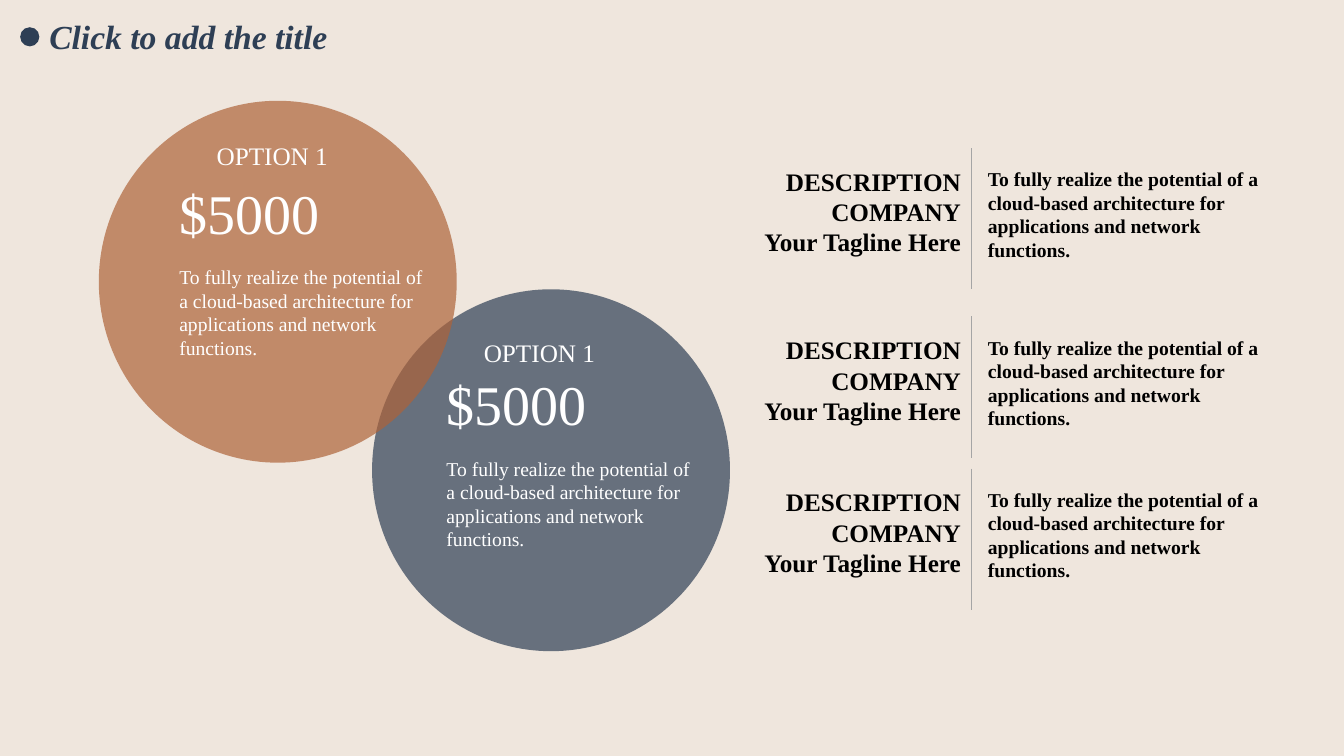
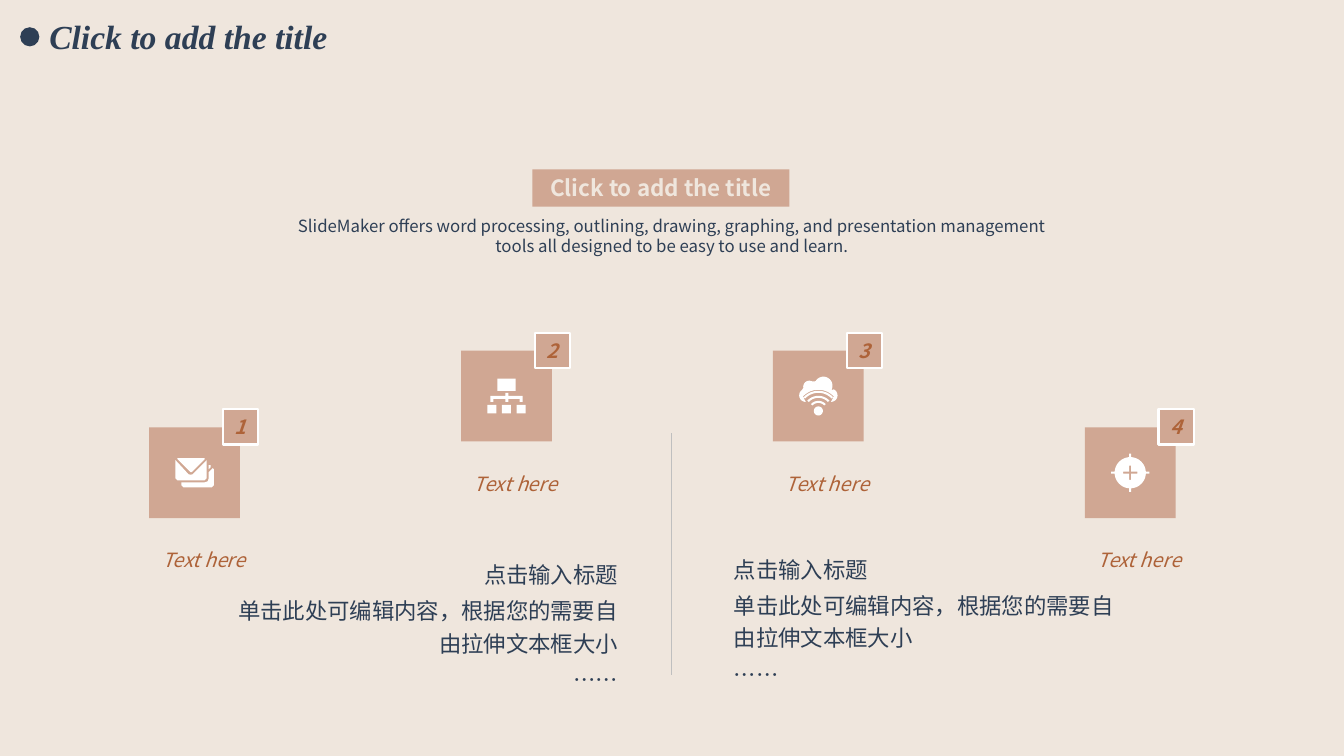
from dataclasses import dataclass
from math import cos, radians, sin

from lxml import etree
from pptx import Presentation
from pptx.dml.color import RGBColor
from pptx.enum.shapes import MSO_CONNECTOR, MSO_SHAPE
from pptx.enum.text import MSO_ANCHOR, PP_ALIGN
from pptx.oxml.ns import qn
from pptx.util import Inches, Pt

LEFT, CENTER, RIGHT = PP_ALIGN.LEFT, PP_ALIGN.CENTER, PP_ALIGN.RIGHT
TOP, MIDDLE = MSO_ANCHOR.TOP, MSO_ANCHOR.MIDDLE
OVAL, RECT = MSO_SHAPE.OVAL, MSO_SHAPE.RECTANGLE
STRAIGHT = MSO_CONNECTOR.STRAIGHT

COLORS = {
    "paper": "EFE6DD", "navy": "2E3F55", "copper": "AE6339", "blush": "D0A793",
    "white": "FFFFFF", "black": "000000", "rule": "A5A5A5", "divider": "BFBFBF",
}
SERIF, SANS = "Times New Roman", "Noto Sans CJK SC"
GRID = Inches(0.1)  # one column or row; the slide is 133.33 columns by 75 rows

TITLE = "Click to add the title"
PITCH = ("To fully realize the potential of a cloud-based architecture "
         "for applications and network functions.")
TAGLINE = ["DESCRIPTION", "COMPANY", "Your Tagline Here"]
INTRO = ("SlideMaker offers word processing, outlining, drawing, graphing, and presentation "
         "management tools all designed to be easy to use and learn.")
NOTES = ["点击输入标题", "单击此处可编辑内容，根据您的需要自由拉伸文本框大小", "……"]


@dataclass
class Box:
    """A region measured in grid columns and rows."""
    left: float
    top: float
    width: float
    height: float

    def inner(self, left, top, width, height):
        return Box(self.left + left, self.top + top, width, height)

    def emu(self):
        return [round(side * GRID) for side in (self.left, self.top, self.width, self.height)]


@dataclass
class Style:
    size: float
    color: str
    font: str = SERIF
    bold: bool = False
    italic: bool = False
    align: int = LEFT
    spacing: float = 1.0
    gap: float = 0


def rgb(name):
    return RGBColor.from_string(COLORS[name])


# Basic elements
def write(frame, lines, style):
    for index, line in enumerate(lines):
        para = frame.paragraphs[0] if index == 0 else frame.add_paragraph()
        para.text = line
        para.alignment = style.align
        para.line_spacing = style.spacing
        if index and style.gap:
            para.space_before = Pt(style.gap)
        font = para.font
        font.size, font.bold, font.italic = Pt(style.size), style.bold, style.italic
        font.color.rgb = rgb(style.color)
        font.name = style.font
        defaults = para._p.pPr.find(qn("a:defRPr"))
        etree.SubElement(defaults, qn("a:ea"), typeface=style.font)


def clear_margins(frame):
    frame.margin_left = frame.margin_right = frame.margin_top = frame.margin_bottom = 0


def add_text(page, box, lines, style, wrap=True, anchor=TOP, padded=True):
    frame = page.shapes.add_textbox(*box.emu()).text_frame
    frame.word_wrap = wrap
    frame.vertical_anchor = anchor
    if not padded:
        clear_margins(frame)
    write(frame, lines, style)


def paint(shape, fill, opacity=100, outline=None):
    shape.shadow.inherit = False
    shape.fill.solid()
    shape.fill.fore_color.rgb = rgb(fill)
    if opacity < 100:
        color = shape._element.spPr.find(qn("a:solidFill")).find(qn("a:srgbClr"))
        etree.SubElement(color, qn("a:alpha"), val=str(opacity * 1000))
    if outline:
        shape.line.color.rgb = rgb(outline)
        shape.line.width = Pt(1.5)
    else:
        shape.line.fill.background()


def add_shape(page, kind, box, fill, **look):
    shape = page.shapes.add_shape(kind, *box.emu())
    paint(shape, fill, **look)
    return shape


def add_label_shape(page, box, line, style, **look):
    frame = add_shape(page, RECT, box, "blush", **look).text_frame
    clear_margins(frame)
    frame.word_wrap = False
    frame.vertical_anchor = MIDDLE
    write(frame, [line], style)


def add_rule(page, left, top, height, color, width):
    x, y, _, drop = Box(left, top, 0, height).emu()
    rule = page.shapes.add_connector(STRAIGHT, x, y, x, y + drop)
    rule.line.color.rgb = rgb(color)
    rule.line.width = Pt(width)
    etree.SubElement(rule._element.spPr, qn("a:effectLst"))


# Icon outlines, in hundredths of an inch
def block(left, top, width, height):
    right, bottom = left + width, top + height
    return [(left, top), (right, top), (right, bottom), (left, bottom)]


def arc(x, y, radius, start, end, steps=24):
    angles = [radians(start + (end - start) * step / steps) for step in range(steps + 1)]
    return [(x + radius * cos(angle), y + radius * sin(angle)) for angle in angles]


def mail_icon():
    return [
        [(37, 10), (38, 11), (38, 27), (36, 29), (8, 29), (6, 27), (6, 24),
         (29, 24), (32, 23), (33, 20), (33, 14)],
        [(33, 7), (35, 7), (35, 9), (33, 11)],
        [(0, 2), (13, 16), (15, 16.5), (17, 16), (30, 3), (31, 2), (31, 20),
         (29, 22), (2, 22), (0, 20)],
        [(2, 0), (29, 0), (29, 1), (16, 14), (15, 14), (2, 1)],
    ]


def tree_icon():
    branches = [(18, 14), (21, 14), (21, 17), (35, 17), (35, 23), (32, 23), (32, 20),
                (21, 20), (21, 23), (18, 23), (18, 20), (6, 20), (6, 23), (3, 23),
                (3, 17), (18, 17)]
    leaves = [block(left, 26, 9, 8.5) for left in (0, 14.5, 29)]
    return [block(10, 0, 18, 12), branches, *leaves]


def cloud_icon():
    cloud = (arc(6.5, 18.5, 6.5, 90, 235) + arc(10, 10, 6, 170, 300)
             + arc(24, 9, 9, 210, 390) + arc(31.5, 18.5, 6.5, 295, 450)
             + arc(19, 34, 21, 317, 223))
    waves = [arc(19, 34, outer, 223, 317) + arc(19, 34, outer - 2, 317, 223)
             for outer in (20, 15, 10)]
    return [cloud, *waves, arc(19, 34, 4.5, 0, 360)]


def target_icon():
    ticks = [block(18, 0, 2, 3.5), block(18, 34.5, 2, 3.5),
             block(0, 18, 3.5, 2), block(34.5, 18, 3.5, 2)]
    plus = [(18, 12), (20, 12), (20, 18), (26, 18), (26, 20), (20, 20),
            (20, 26), (18, 26), (18, 20), (12, 20), (12, 18), (18, 18)]
    return [arc(19, 19, 15.5, 0, 360, 48), plus, *ticks]


def add_icon(page, box, outlines):
    """Centre the outlines in the box as one white freeform."""
    points = [[(round(x * GRID / 10), round(y * GRID / 10)) for x, y in outline]
              for outline in outlines]
    spans = [[point[axis] for outline in points for point in outline] for axis in (0, 1)]
    left, top, width, height = box.emu()
    origin_x = left + (width - min(spans[0]) - max(spans[0])) // 2
    origin_y = top + (height - min(spans[1]) - max(spans[1])) // 2
    builder = page.shapes.build_freeform(*points[0][0])
    for index, outline in enumerate(points):
        if index:
            builder.move_to(*outline[0])
        builder.add_line_segments(outline[1:], close=True)
    paint(builder.convert_to_shape(origin_x, origin_y), "white")


# Shared page frame
def add_page(deck):
    page = deck.slides.add_slide(deck.slide_layouts[6])
    page.background.fill.solid()
    page.background.fill.fore_color.rgb = rgb("paper")
    add_text(page, Box(3.9, 1.1, 31.5, 5), [TITLE],
             Style(24, "navy", bold=True, italic=True), wrap=False)
    add_shape(page, OVAL, Box(2, 2.7, 1.9, 1.9), "navy")
    return page


# Pricing slide
def add_option(page, box, label_top):
    """Label, price and pitch, stacked in the box."""
    add_text(page, box.inner(3.7, label_top, 13.2, 4), ["OPTION 1"],
             Style(18, "white"), wrap=False)
    add_text(page, box.inner(0, 3.8, 16, 7.7), ["$5000"], Style(40, "white"), wrap=False)
    add_text(page, box.inner(0, 12.4, 26.4, 10.4), [PITCH], Style(14, "white"))


def add_description(page, box):
    """Tagline and pitch on either side of a rule."""
    middle = 21.7
    add_text(page, box.inner(0, 1.3, middle, 10.1), TAGLINE,
             Style(18, "black", bold=True, align=RIGHT), wrap=False)
    add_rule(page, box.left + middle, box.top, box.height, "rule", 0.5)
    add_text(page, box.inner(middle + 0.7, 1.4, 29.3, 10.4), [PITCH],
             Style(14, "black", bold=True))


def pricing_slide(deck):
    page = add_page(deck)
    for left, top, fill in ((36.9, 28.7, "navy"), (9.8, 10, "copper")):
        add_shape(page, OVAL, Box(left, top, 35.5, 35.9), fill, opacity=70)
    add_option(page, Box(16.8, 13.4, 26.4, 22.8), 0)
    add_option(page, Box(43.3, 32.4, 26.4, 22.8), 0.6)
    for top in (14.7, 31.4, 46.5):
        add_description(page, Box(74.6, top, 51.7, 14))


# Steps slide
def add_step(page, box, number, outlines):
    """Icon tile with a numbered badge on its corner and a caption below."""
    add_shape(page, RECT, box, "blush")
    add_icon(page, box, outlines)
    add_label_shape(page, box.inner(7.3, -1.8, 3.5, 3.5), str(number),
                    Style(14, "copper", SANS, bold=True, italic=True, align=CENTER),
                    outline="white")
    add_text(page, box.inner(-7.5, 11, 25.8, 4.3), ["Text here"],
             Style(14, "copper", SANS, italic=True, align=CENTER), anchor=MIDDLE)


def add_heading(page, box):
    """Banner with the introduction below."""
    add_label_shape(page, box.inner(24.1, 0, 25.5, 3.7), TITLE,
                    Style(16, "paper", SANS, bold=True, align=CENTER))
    add_text(page, box.inner(0, 4.6, box.width, 4), [INTRO],
             Style(12, "navy", SANS, align=CENTER), padded=False)


def steps_slide(deck):
    page = add_page(deck)
    add_heading(page, Box(28.7, 16.8, 75.9, 8.6))
    icons = (mail_icon(), tree_icon(), cloud_icon(), target_icon())
    first, last = 14.8, 107.6
    pitch = (last - first) / (len(icons) - 1)
    for index, outlines in enumerate(icons):
        top = 34.8 if index in (1, 2) else 42.4
        add_step(page, Box(first + index * pitch, top, 9, 9), index + 1, outlines)
    add_rule(page, 66.6, 43, 24, "divider", 0.25)
    for left, top, align in ((22.9, 55.1, RIGHT), (72.8, 54.6, LEFT)):
        add_text(page, Box(left, top, 38.4, 14), NOTES,
                 Style(16, "navy", SANS, align=align, spacing=1.2, gap=3.2), padded=False)


def main():
    deck = Presentation()
    deck.slide_width, deck.slide_height = Inches(13.33), Inches(7.5)
    pricing_slide(deck)
    steps_slide(deck)
    deck.save("out.pptx")


if __name__ == "__main__":
    main()
